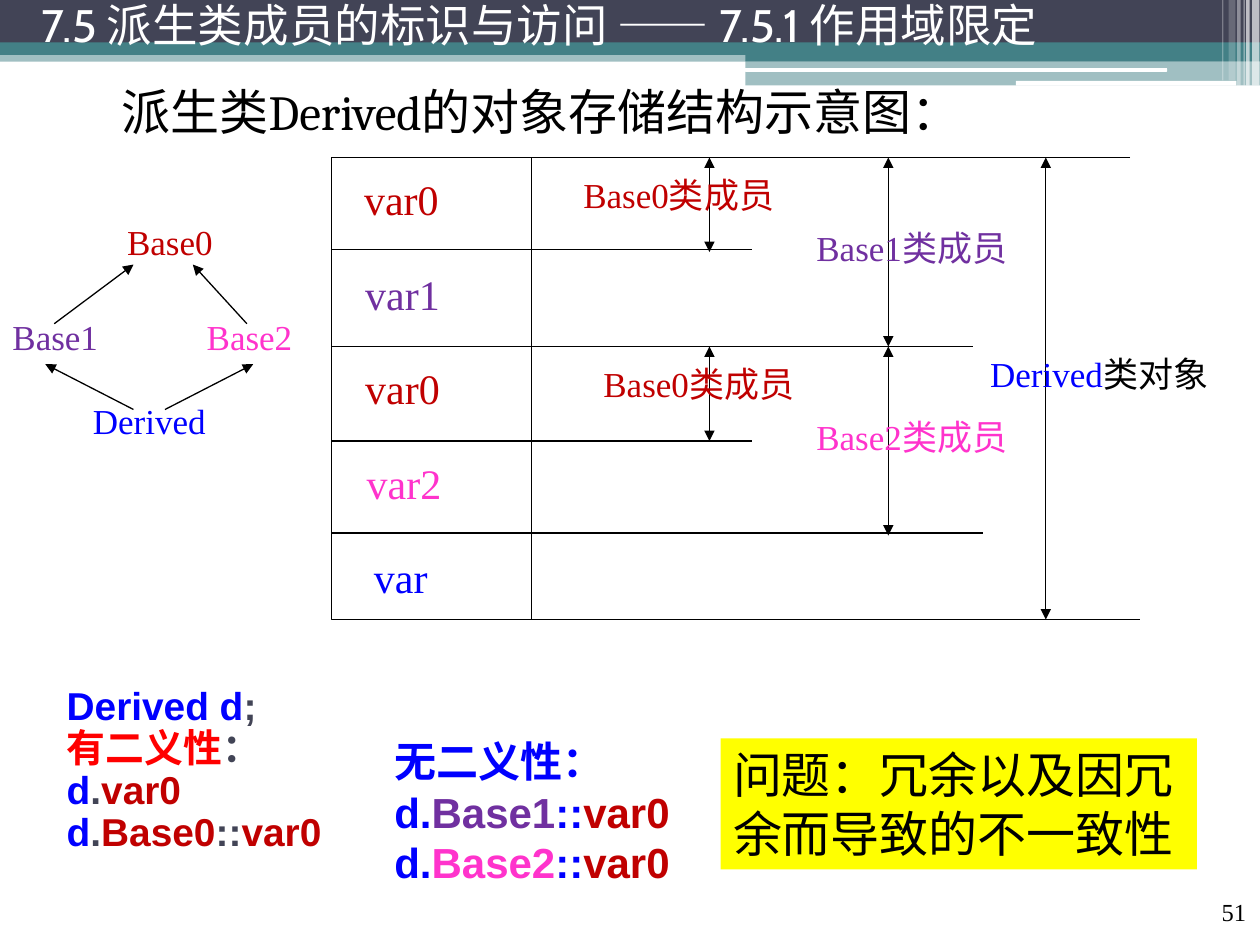
from typing import NamedTuple

from lxml import etree
from pptx import Presentation
from pptx import util as u
from pptx.dml.color import RGBColor
from pptx.enum import shapes, text
from pptx.oxml.ns import qn

Pt = u.Pt
C = {
    "black": "000000", "white": "FFFFFF", "slate": "424456", "teal": "438086",
    "red": "C00000", "purple": "7030A0", "pink": "FF33CC", "blue": "0000FF",
    "alert": "FF0000", "yellow": "FFFF00",
}
SERIF, SANS = "Times New Roman", "Arial"


class Band(NamedTuple):
    x: float
    y: float
    w: float
    h: float
    color: str
    alpha: int = 100
    kind: shapes.MSO_SHAPE = shapes.MSO_SHAPE.RECTANGLE


class Line(NamedTuple):
    x1: float
    y1: float
    x2: float
    y2: float
    head: bool = False
    tail: bool = False


class Label(NamedTuple):
    x: float
    y: float
    w: float
    h: float
    paras: list
    size: float = 20
    font: str = SERIF
    bold: bool = False
    wrap: bool = True
    align: text.PP_ALIGN = text.PP_ALIGN.LEFT
    spacing: float = 1.0
    anchor: text.MSO_ANCHOR = text.MSO_ANCHOR.TOP


def rgb(name: str) -> RGBColor:
    return RGBColor.from_string(C[name])


def place(sp, item) -> None:
    for key, val in dict(left=item.x, top=item.y, width=item.w, height=item.h).items():
        setattr(sp, key, Pt(val))


def write(sp, label: Label) -> None:
    tf = sp.text_frame
    frame = dict(word_wrap=label.wrap, vertical_anchor=label.anchor,
                 auto_size=text.MSO_AUTO_SIZE.NONE)
    for key, val in frame.items():
        setattr(tf, key, val)
    for i, runs in enumerate(label.paras):
        p = tf.add_paragraph() if i else tf.paragraphs[0]
        p.alignment = label.align
        p.line_spacing = label.spacing
        for words, color in runs:
            r = p.add_run()
            r.text = words
            for key, val in dict(size=Pt(label.size), name=label.font, bold=label.bold).items():
                setattr(r.font, key, val)
            r.font.color.rgb = rgb(color)


def add_label(s, label: Label) -> None:
    sp = s.shapes.add_textbox(0, 0, 0, 0)
    place(sp, label)
    write(sp, label)


def add_band(s, band: Band):
    sp = s.shapes.add_shape(band.kind, 0, 0, 0, 0)
    place(sp, band)
    sp.shadow.inherit = False
    sp.fill.solid()
    sp.fill.fore_color.rgb = rgb(band.color)
    sp.line.fill.background()
    if band.alpha < 100:
        clr = sp.fill._xPr.find(qn("a:solidFill"))[0]
        etree.SubElement(clr, qn("a:alpha"), val=str(band.alpha * 1000))
    return sp


def add_line(s, line: Line) -> None:
    ends = [Pt(v) for v in line[:4]]
    cx = s.shapes.add_connector(shapes.MSO_CONNECTOR.STRAIGHT, *ends)
    cx.line.color.rgb = rgb("black")
    cx.line.width = Pt(0.75)
    ln = cx.line._get_or_add_ln()
    for tag, shown in (("a:headEnd", line.head), ("a:tailEnd", line.tail)):
        if shown:
            etree.SubElement(ln, qn(tag), type="triangle")
    etree.SubElement(cx._element.spPr, qn("a:effectLst"))


def add_frame(s) -> None:
    fb = s.shapes.build_freeform(Pt(645.8), Pt(90))
    fb.add_line_segments([(Pt(x), Pt(y)) for x, y in ((189.4, 90), (189.4, 354), (651.5, 354))],
                         close=False)
    sp = fb.convert_to_shape()
    sp.shadow.inherit = False
    sp.fill.background()
    sp.line.color.rgb = rgb("black")
    sp.line.width = Pt(0.75)


ROUND = shapes.MSO_SHAPE.ROUNDED_RECTANGLE
BANDS = [
    Band(0, 28.8, 720, 6.5, "teal", 50),
    Band(0, 0, 720, 24.5, "slate"),
    Band(0, 24.2, 720, 7.2, "teal"),
    Band(426, 28, 294, 7, "teal"),
    Band(426, 34.6, 294, 14.2, "teal", 50),
    Band(425.7, 38.9, 241.2, 2.2, "white", kind=ROUND),
    Band(580.5, 46.2, 126, 2.7, "white", kind=ROUND),
] + [Band(x, 0, w, h, "white", alpha) for x, w, h, alpha in (
    (715.5, 4.2, 49, 65), (712.1, 2, 49, 65), (710.6, 0.7, 49, 60),
    (707, 2, 49, 40), (702, 4, 46, 20), (698.4, 0.7, 46, 30))]

COLUMN, LEFT = 303.6, 189.4
MEMBER_LINES = [Line(COLUMN, 90, COLUMN, 354)] + [
    Line(LEFT, y, right, y)
    for y, right in ((142.6, 429.8), (198, 555.8), (252, 429.8), (304.6, 561.6))]
SPANS = [Line(x, top, x, bottom, True, True) for x, top, bottom in (
    (405.4, 90, 144), (405.4, 198, 252), (507.6, 90, 198), (507.6, 198, 306), (597.6, 90, 354))]
INHERITS = [Line(*ends, tail=True) for ends in (
    (94.3, 234, 144.7, 208.1), (76.3, 234, 25.9, 208.1),
    (141.1, 185, 110.2, 151.2), (31, 185, 76.3, 151.2))]

MEMBERS = [("var0", "red", 201), ("var1", "purple", 201.6), ("var0", "red", 201.6),
           ("var2", "pink", 202.5), ("var", "blue", 206.6)]
MEMBER_LABELS = [Label(x, 95.8 + 54 * i, 86, 36, [[(name, color)]], 24)
                 for i, (name, color, x) in enumerate(MEMBERS)]
SPAN_LABELS = [Label(x, y, w, h, [runs]) for x, y, w, h, runs in (
    (326.2, 95.8, 145.4, 31.5, [("Base0类成员", "red")]),
    (337.7, 203.8, 134, 31.5, [("Base0类成员", "red")]),
    (459.4, 126, 126, 55.7, [("Base1类成员", "purple")]),
    (459.4, 234, 131.8, 31.5, [("Base2类成员", "pink")]),
    (558.7, 198, 152.6, 31.5, [("Derived", "blue"), ("类对象", "black")]))]
CLASS_LABELS = [Label(x, y, w, 31.5, [[(name, color)]], wrap=False) for name, color, x, y, w in (
    ("Base0", "red", 65.5, 122.4, 63.4), ("Base1", "purple", 0, 177, 63.4),
    ("Base2", "pink", 111, 177, 63.4), ("Derived", "blue", 46, 224.6, 78.5))]

AMBIGUOUS = [
    [("Derived d", "blue"), (";", "slate")],
    [("有二义性", "alert"), ("：", "slate")],
    [("d", "blue"), (".", "slate"), ("var0", "red")],
    [("d", "blue"), (".", "slate"), ("Base0", "red"), ("::", "slate"), ("var0", "red")],
]
CLEAR = [[("无二义性：", "blue")]] + [
    [("d.", "blue"), (base, color), ("::", "blue"), ("var0", "red")]
    for base, color in (("Base1", "purple"), ("Base2", "pink"))]
NOTES = [
    Label(62.6, 43.2, 603.4, 46.8, [[("派生类Derived的对象存储结构示意图：", "black")]], 28, "Cambria"),
    Label(31, 388.8, 181.4, 118.8, AMBIGUOUS, 22.2, SANS, True, spacing=0.9),
    Label(218.2, 416.9, 193, 93.6, CLEAR, 24, SANS, True),
    Label(671, 509, 48.2, 24.5, [[("51", "black")]], 14, align=text.PP_ALIGN.RIGHT),
]
TITLE = Label(16.6, 0, 689, 33.8,
              [[("7.5 派生类成员的标识与访问 —— 7.5.1 作用域限定", "white")]],
              26, "Cabin", spacing=0.8, anchor=text.MSO_ANCHOR.MIDDLE)
PROBLEM = Label(411.8, 421.9, 272.2, 74.9, [[("问题：冗余以及因冗余而导致的不一致性", "black")]], 28)


def main() -> None:
    prs = Presentation()
    prs.slide_width, prs.slide_height = Pt(720), Pt(540)
    s = prs.slides.add_slide(prs.slide_layouts[5])
    for band in BANDS:
        add_band(s, band)
    title = s.shapes.title
    s.shapes._spTree.append(title._element)
    place(title, TITLE)
    write(title, TITLE)
    add_frame(s)
    for line in MEMBER_LINES + SPANS + INHERITS:
        add_line(s, line)
    for label in MEMBER_LABELS + SPAN_LABELS + CLASS_LABELS + NOTES:
        add_label(s, label)
    write(add_band(s, Band(*PROBLEM[:4], "yellow")), PROBLEM)
    prs.save("out.pptx")


if __name__ == "__main__":
    main()
